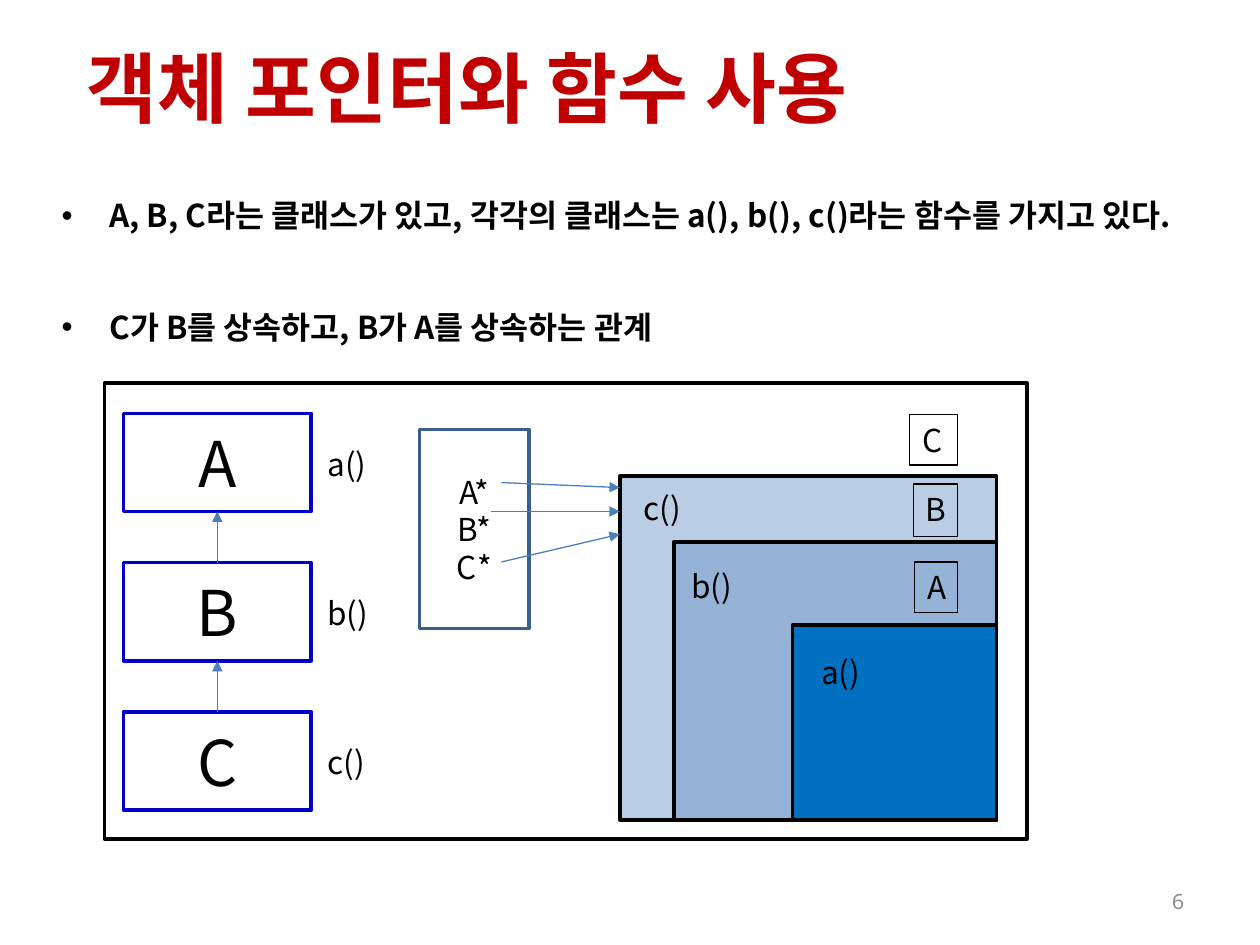
from lxml import etree
from pptx import Presentation
from pptx.dml.color import RGBColor
from pptx.enum.shapes import MSO_CONNECTOR, MSO_SHAPE
from pptx.enum.text import MSO_ANCHOR, PP_ALIGN
from pptx.oxml.ns import qn
from pptx.util import Inches, Pt

RECTANGLE = MSO_SHAPE.RECTANGLE
STRAIGHT = MSO_CONNECTOR.STRAIGHT
TOP, MIDDLE = MSO_ANCHOR.TOP, MSO_ANCHOR.MIDDLE
LEFT, CENTER, RIGHT = PP_ALIGN.LEFT, PP_ALIGN.CENTER, PP_ALIGN.RIGHT
BOX_TOP, BOX_BOTTOM = 0, 2

BODY_FONT = "Noto Sans CJK KR"
NUMBER_FONT = "Noto Sans Mono"
COLORS = {
    "title": "C00000",
    "black": "000000",
    "white": "FFFFFF",
    "number": "8C8C8C",
    "class": "0000CC",
    "arrow": "4B7EBC",
    "pointer": "3A5F8C",
    "outer": "B9CDE5",
    "middle": "95B3D7",
    "inner": "0070C0",
}


def rgb(name):
    return RGBColor.from_string(COLORS[name])


def write(frame, lines, size=18, color="black", align=LEFT, anchor=TOP,
          wrap=True, font=BODY_FONT, bold=False):
    for name, value in {"word_wrap": wrap, "vertical_anchor": anchor}.items():
        setattr(frame, name, value)
    for index, line in enumerate(lines):
        paragraph = frame.paragraphs[0] if index == 0 else frame.add_paragraph()
        paragraph.alignment = align
        run = paragraph.add_run()
        run.text = line
        for name, value in {"size": Pt(size), "bold": bold, "name": font}.items():
            setattr(run.font, name, value)
        run.font.color.rgb = rgb(color)
        east_asian = etree.SubElement(run.font._element, qn("a:ea"))
        east_asian.set("typeface", font)


def add_text(slide, area, lines, **style):
    box = slide.shapes.add_textbox(*map(Inches, area))
    write(box.text_frame, lines, **style)
    return box


def add_box(slide, area, line, fill=None, weight=2, lines=(), **style):
    box = slide.shapes.add_shape(RECTANGLE, *map(Inches, area))
    box.shadow.inherit = False
    if fill:
        box.fill.solid()
        box.fill.fore_color.rgb = rgb(fill)
    else:
        box.fill.background()
    box.line.color.rgb = rgb(line)
    box.line.width = Pt(weight)
    write(box.text_frame, lines, **style)
    return box


def add_arrow(slide, start=(0, 0), end=(0, 0)):
    arrow = slide.shapes.add_connector(STRAIGHT, *map(Inches, (*start, *end)))
    arrow.line.color.rgb = rgb("arrow")
    arrow.line.width = Pt(0.75)
    head = etree.SubElement(arrow.line._get_or_add_ln(), qn("a:tailEnd"))
    head.set("type", "triangle")
    etree.SubElement(arrow._element.spPr, qn("a:effectLst"))
    return arrow


def add_bullets(slide, area, lines, gap):
    box = add_text(slide, area, lines, bold=True)
    for index, paragraph in enumerate(box.text_frame.paragraphs):
        paragraph.space_before = Pt(gap if index else 3.6)
        properties = paragraph._p.get_or_add_pPr()
        properties.set("marL", str(Inches(0.38)))
        properties.set("indent", str(Inches(-0.38)))
        etree.SubElement(properties, qn("a:buFont")).set("typeface", "Arial")
        etree.SubElement(properties, qn("a:buChar")).set("char", "•")


def add_inheritance(slide):
    parent = None
    for index, name in enumerate("ABC"):
        top = 3.28 + index * 1.185
        box = add_box(slide, (0.98, top, 1.49, 0.78), "class", "white",
                      lines=[name], size=36, align=CENTER, anchor=MIDDLE)
        add_text(slide, (2.5, top + 0.2, 0.54, 0.4), [f"{name.lower()}()"],
                 wrap=False)
        if parent is not None:
            arrow = add_arrow(slide)
            arrow.begin_connect(box, BOX_TOP)
            arrow.end_connect(parent, BOX_BOTTOM)
        parent = box


def add_nested_objects(slide):
    right, bottom = 7.91, 6.51
    layers = [
        ("C", "outer", 4.92, 3.78, (7.22, 3.29, 0.38, 0.4), (5.01, 3.83)),
        ("B", "middle", 5.35, 4.3, (7.25, 3.84, 0.35, 0.42), (5.39, 4.45)),
        ("A", "inner", 6.29, 4.96, (7.26, 4.46, 0.34, 0.4), (6.42, 5.13)),
    ]
    for name, fill, left, top, tag_area, function_at in layers:
        add_box(slide, (left, top, right - left, bottom - top), "black", fill)
        add_box(slide, tag_area, "black", weight=0.75, lines=[name], wrap=False)
        add_text(slide, (*function_at, 1.57, 0.4), [f"{name.lower()}()"])


def add_pointers(slide):
    add_box(slide, (3.33, 3.41, 0.87, 1.58), "pointer",
            lines=["A*", "B*", "C*"], align=CENTER, anchor=MIDDLE)
    object_left = 4.92
    for left, start, end in [(3.98, 3.83, 3.87), (3.9, 4.06, 4.06),
                             (3.98, 4.46, 4.24)]:
        add_arrow(slide, (left, start), (object_left, end))


def main():
    deck = Presentation()
    deck.slide_width, deck.slide_height = Inches(10), Inches(7.5)
    slide = deck.slides.add_slide(deck.slide_layouts[6])
    add_text(slide, (0.59, 0.06, 7.8, 1.25), ["객체 포인터와 함수 사용"],
             size=44, color="title", anchor=MIDDLE, bold=True)
    add_text(slide, (7.17, 6.95, 2.33, 0.4), ["6"], size=12, color="number",
             align=RIGHT, anchor=MIDDLE, font=NUMBER_FONT)
    add_box(slide, (0.83, 3.04, 7.32, 3.62), "black", "white")
    add_inheritance(slide)
    add_nested_objects(slide)
    add_pointers(slide)
    add_bullets(slide, (0.39, 1.51, 9.38, 2.47), [
        "A, B, C라는 클래스가 있고, 각각의 클래스는 a(), b(), c()라는 함수를 가지고 있다.",
        "C가 B를 상속하고, B가 A를 상속하는 관계",
    ], gap=42)
    deck.save("out.pptx")


if __name__ == "__main__":
    main()
